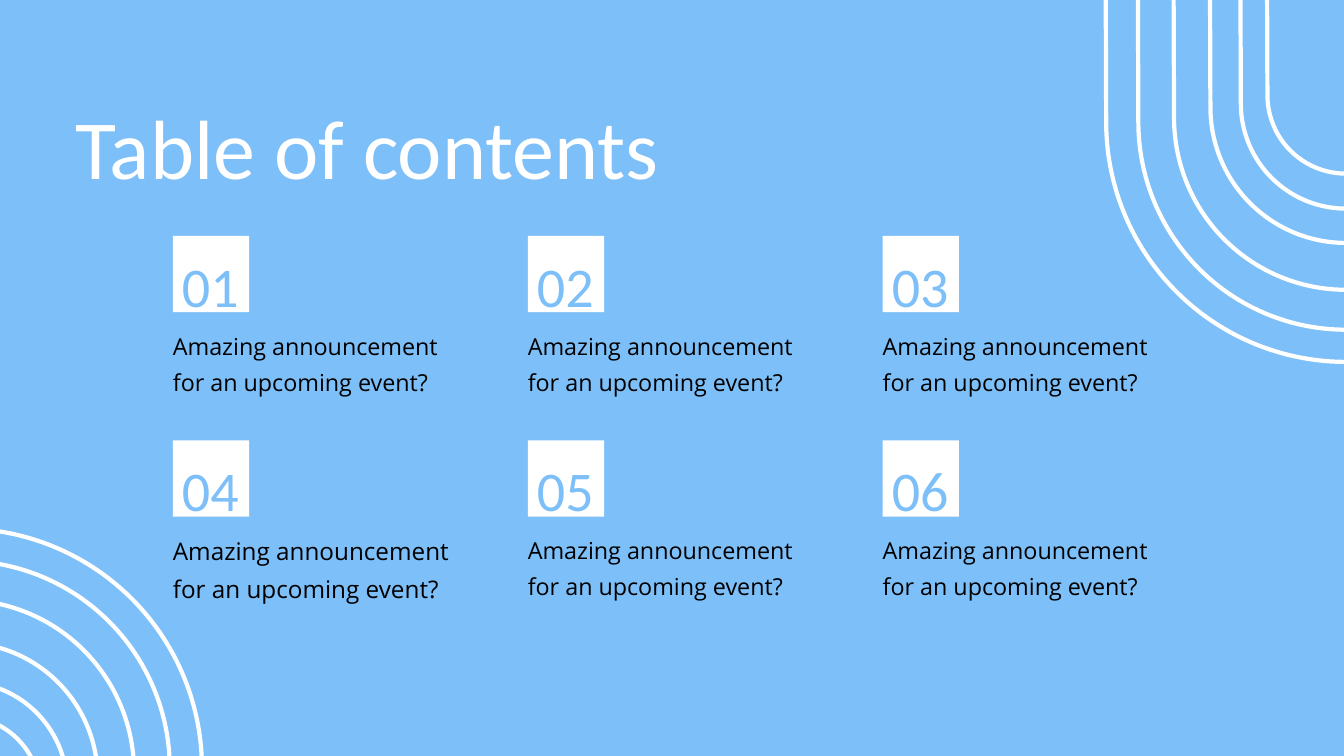
from pptx import Presentation
from pptx import util as u
from pptx.dml.color import RGBColor
from pptx.enum import shapes, text

SKY = "7DBFF8"
WHITE = "FFFFFF"
BLACK = "000000"
EMU_PER_PX = 9525
CAPTION = "Amazing announcement\nfor an upcoming event?"
CAPTION_SIZES = (25, 25, 25, 26, 25, 25)
ARCH_SIZES = ((685, 1115), (593, 1010), (491, 889), (387, 769), (300, 670), (224, 576))


def px(*lengths):
    """Turn pixel lengths into EMU."""
    return [u.Emu(length * EMU_PER_PX) for length in lengths]


def color(value):
    """Return the colour for a hex string."""
    return RGBColor.from_string(value)


def write(holder, words, *, size, font, fill, spacing):
    """Fill a text holder with left-aligned, top-anchored formatted text."""
    frame = holder.text_frame
    frame.text = words
    frame.word_wrap = True
    frame.auto_size = text.MSO_AUTO_SIZE.SHAPE_TO_FIT_TEXT
    frame.vertical_anchor = text.MSO_ANCHOR.TOP
    frame.margin_left = frame.margin_top = frame.margin_right = frame.margin_bottom = 0
    for paragraph in frame.paragraphs:
        paragraph.alignment = text.PP_ALIGN.LEFT
        paragraph.line_spacing = spacing
        for run in paragraph.runs:
            run.font.size = u.Pt(size)
            run.font.name = font
            run.font.color.rgb = color(fill)


def add_heading(slide, left, top, width, height):
    """Place the title placeholder."""
    title = slide.shapes.title
    title.left, title.top, title.width, title.height = px(left, top, width, height)
    write(title, "Table of contents", size=90, font="Calibri", fill=WHITE, spacing=1.2)


def add_entry(slide, left, top, number, caption_size):
    """Place one numbered square with its caption below."""
    tile = slide.shapes.add_shape(shapes.MSO_SHAPE.RECTANGLE, *px(left, top, 109, 109))
    tile.shadow.inherit = False
    tile.fill.solid()
    tile.fill.fore_color.rgb = color(WHITE)
    tile.line.fill.background()
    numeral = slide.shapes.add_textbox(*px(left + 13, top - 7, 116, 125))
    write(numeral, f"{number:02}", size=60, font="Calibri", fill=SKY, spacing=1.3)
    caption = slide.shapes.add_textbox(*px(left, top + 125, 431, 104))
    write(caption, CAPTION, size=caption_size, font="Open Sans", fill=BLACK, spacing=1.3)


def add_contents(slide, left, top, columns=3):
    """Lay the entries out as a grid."""
    for index, caption_size in enumerate(CAPTION_SIZES):
        row, column = divmod(index, columns)
        add_entry(slide, left + column * 507, top + row * 292, index + 1, caption_size)


def add_arches(slide, center, tips, rotation=0):
    """Draw nested outlined arches, whose tips point down when rotated."""
    for (width, height), tip in zip(ARCH_SIZES, tips):
        top = tip - height if rotation else tip
        arch = slide.shapes.add_shape(
            shapes.MSO_SHAPE.ROUND_2_SAME_RECTANGLE,
            *px(center - width / 2, top, width, height))
        arch.adjustments[0] = 0.5
        arch.rotation = rotation
        arch.shadow.inherit = False
        arch.fill.background()
        arch.line.color.rgb = color(WHITE)
        arch.line.width = u.Pt(4.5)


def main():
    """Build the table of contents slide."""
    deck = Presentation()
    deck.slide_width, deck.slide_height = px(1920, 1080)
    slide = deck.slides.add_slide(deck.slide_layouts[5])
    slide.background.fill.solid()
    slide.background.fill.fore_color.rgb = color(SKY)
    add_heading(slide, 108, 107, 994, 173)
    add_contents(slide, 247, 337)
    add_arches(slide, 1922, (517, 471, 414, 347, 298, 248), rotation=179.8)
    add_arches(slide, -54, (755, 801, 857, 918, 974, 1023))
    deck.save("out.pptx")


if __name__ == "__main__":
    main()
